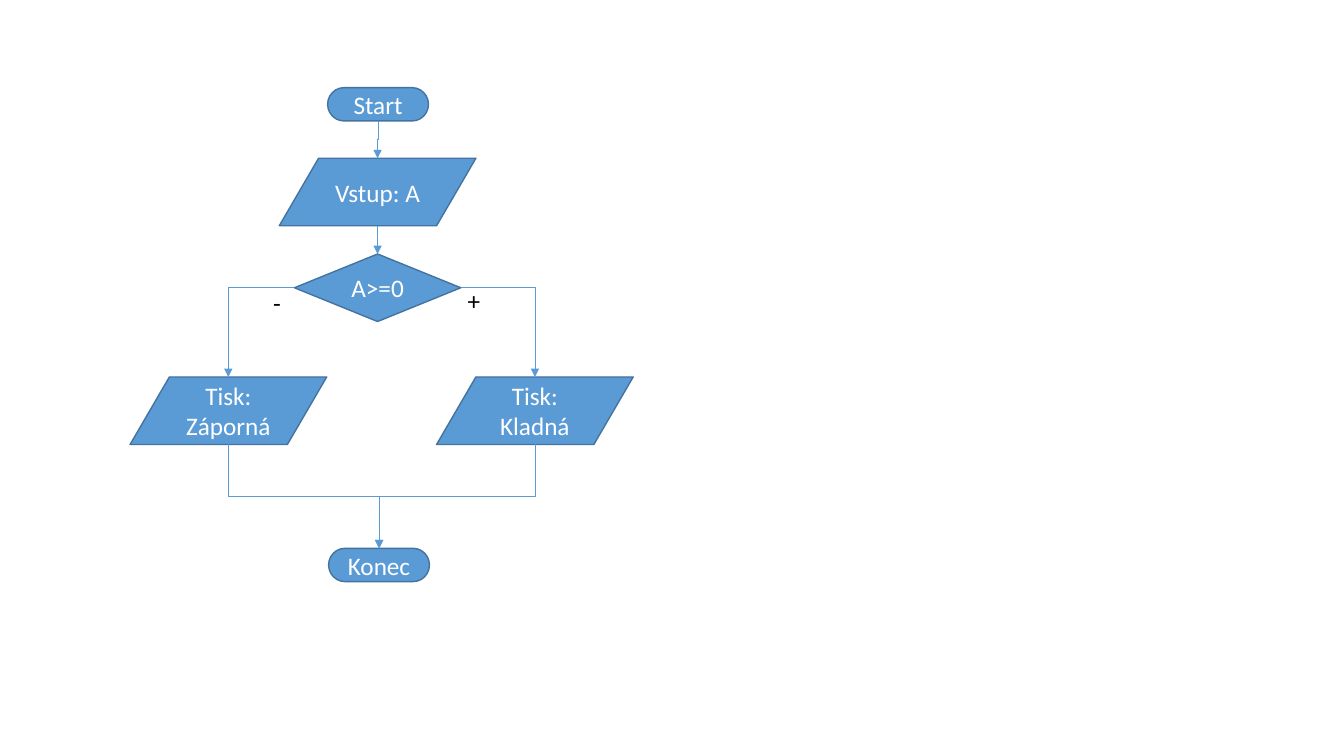
from dataclasses import dataclass

from lxml.etree import SubElement
from pptx import Presentation
from pptx.dml.color import RGBColor
from pptx.enum.shapes import MSO_CONNECTOR as CONN, MSO_SHAPE as SHAPE
from pptx.enum.text import MSO_ANCHOR as ANCHOR, MSO_AUTO_SIZE as AUTO, PP_ALIGN as ALIGN
from pptx.oxml.ns import qn
from pptx.util import Inches, Pt

COLORS = {"fill": "5B9BD5", "outline": "43739E", "on_fill": "FFFFFF", "label": "000000"}
FONT = {"name": "Calibri", "size": Pt(18)}
NODE_FRAME = {"word_wrap": True, "vertical_anchor": ANCHOR.MIDDLE}
LABEL_FRAME = {"word_wrap": False, "auto_size": AUTO.SHAPE_TO_FIT_TEXT}
SIZES = {
    SHAPE.FLOWCHART_TERMINATOR: (1.0, 0.33),
    SHAPE.FLOWCHART_DATA: (1.95, 0.67),
    SHAPE.FLOWCHART_DECISION: (1.65, 0.67),
}


@dataclass
class Node:
    text: str
    kind: SHAPE
    left: float
    top: float

    @property
    def size(self) -> tuple:
        return SIZES[self.kind]

    def at(self, fx: float, fy: float) -> tuple:
        """Point at the given fractions of the width and height."""
        w, h = self.size
        return self.left + fx * w, self.top + fy * h


@dataclass
class Label:
    text: str
    left: float
    top: float
    width: float
    height: float = 0.4


def color(name: str) -> RGBColor:
    return RGBColor.from_string(COLORS[name])


def assign(obj, values: dict) -> None:
    for name, value in values.items():
        setattr(obj, name, value)


def write(sp, text: str, frame: dict, align: ALIGN, ink: str) -> None:
    tf = sp.text_frame
    assign(tf, frame)
    p = tf.paragraphs[0]
    p.alignment = align
    r = p.add_run()
    r.text = text
    assign(r.font, FONT)
    r.font.color.rgb = color(ink)


def draw_node(node: Node) -> None:
    box = (node.left, node.top, *node.size)
    sp = slide.shapes.add_shape(node.kind, *map(Inches, box))
    sp.shadow.inherit = False
    sp.fill.solid()
    sp.fill.fore_color.rgb = color("fill")
    sp.line.color.rgb = color("outline")
    sp.line.width = Pt(1)
    write(sp, node.text, NODE_FRAME, ALIGN.CENTER, "on_fill")


def draw_label(label: Label) -> None:
    box = (label.left, label.top, label.width, label.height)
    sp = slide.shapes.add_textbox(*map(Inches, box))
    write(sp, label.text, LABEL_FRAME, ALIGN.LEFT, "label")


def add_elbow(x1: float, y1: float, x2: float, y2: float):
    cx = slide.shapes.add_connector(CONN.ELBOW, *map(Inches, (x1, y1, x2, y2)))
    cx.line.color.rgb = color("fill")
    cx.line.width = Pt(0.5)
    sppr = cx.element.spPr
    SubElement(sppr.find(qn("a:ln")), qn("a:tailEnd"), type="triangle")
    SubElement(sppr, qn("a:effectLst"))
    return sppr


def draw_corner(start: tuple, end: tuple) -> None:
    """Arrow that runs sideways, then down."""
    sppr = add_elbow(*start, *end)
    sppr.find(qn("a:prstGeom")).set("prst", "bentConnector2")


def draw_step(start: tuple, end: tuple) -> None:
    """Arrow that runs down, sideways and down: a turned elbow."""
    (x1, y1), (x2, y2) = start, end
    mx, my = (x1 + x2) / 2, (y1 + y2) / 2
    rightward = x2 > x1
    half_w = (y2 - y1) / 2 * (-1 if rightward else 1)
    half_h = abs(x2 - x1) / 2
    sppr = add_elbow(mx - half_w, my - half_h, mx + half_w, my + half_h)
    degrees = 270 if rightward else 90
    sppr.find(qn("a:xfrm")).set("rot", str(degrees * 60000))


prs = Presentation()
prs.slide_width, prs.slide_height = Inches(13.33), Inches(7.5)
slide = prs.slides.add_slide(prs.slide_layouts[6])

# Flowchart nodes
start = Node("Start", SHAPE.FLOWCHART_TERMINATOR, 3.25, 0.87)
read_a = Node("Vstup: A", SHAPE.FLOWCHART_DATA, 2.77, 1.57)
test = Node("A>=0", SHAPE.FLOWCHART_DECISION, 2.92, 2.52)
negative = Node("Tisk: Záporná", SHAPE.FLOWCHART_DATA, 1.29, 3.74)
positive = Node("Tisk: Kladná", SHAPE.FLOWCHART_DATA, 4.33, 3.74)
end = Node("Konec", SHAPE.FLOWCHART_TERMINATOR, 3.26, 5.44)
for node in (start, read_a, test, negative, positive, end):
    draw_node(node)

# Arrows down the flow
for upper, lower in ((start, read_a), (read_a, test), (negative, end), (positive, end)):
    draw_step(upper.at(0.5, 1), lower.at(0.5, 0))

# Branches of the decision
for side, branch in ((0, negative), (1, positive)):
    draw_corner(test.at(side, 0.5), branch.at(0.5, 0))

# Branch labels
for label in (Label("+", 4.54, 2.78, 0.33), Label("-", 2.61, 2.8, 0.28)):
    draw_label(label)

prs.save("out.pptx")
